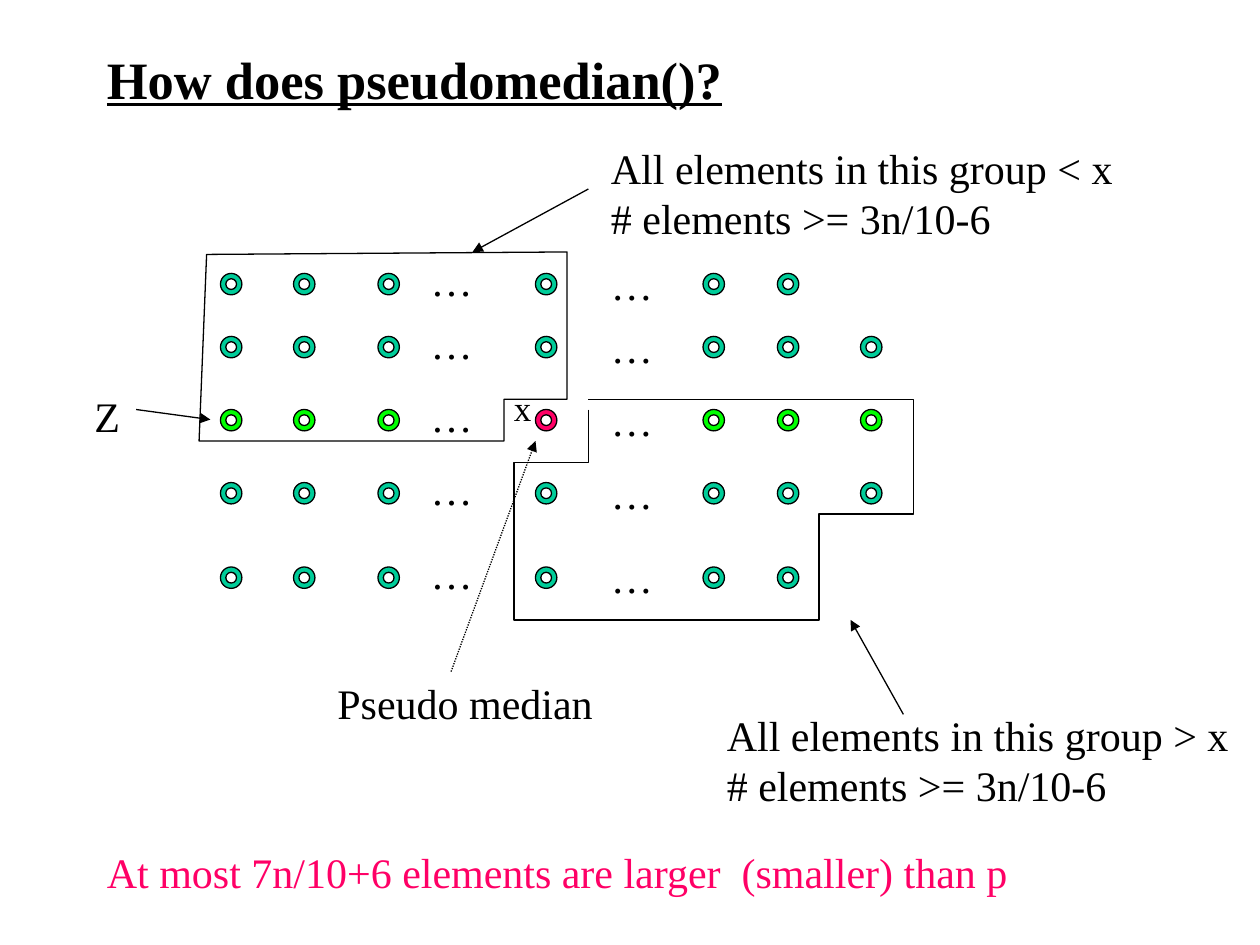
from pptx import Presentation
from pptx.dml.color import RGBColor
from pptx.enum.dml import MSO_LINE
from pptx.enum.shapes import MSO_CONNECTOR, MSO_SHAPE
from pptx.enum.text import MSO_ANCHOR, MSO_AUTO_SIZE
from pptx.oxml.ns import qn
from pptx.util import Inches, Pt
from lxml.etree import SubElement

COLORS = {name: RGBColor.from_string(value) for name, value in {
    "black": "000000", "teal": "00CC99", "green": "00FF00", "pink": "FF0066",
}.items()}

deck = Presentation()
deck.slide_width, deck.slide_height = Inches(10), Inches(7.5)
page = deck.slides.add_slide(deck.slide_layouts[6])


def add_label(text, left, top, width, height=0.5, size=24, color="black"):
    box = page.shapes.add_textbox(Inches(left), Inches(top), Inches(width), Inches(height))
    frame = box.text_frame
    frame.text = text
    frame.word_wrap = False
    frame.auto_size = MSO_AUTO_SIZE.SHAPE_TO_FIT_TEXT
    for para in frame.paragraphs:
        for span in para.runs:
            span.font.name = "Times New Roman"
            span.font.size = Pt(size)
            span.font.color.rgb = COLORS[color]
    return box


def outline(shape):
    shape.line.color.rgb = COLORS["black"]
    shape.line.width = Pt(0.75)


title = add_label("How does pseudomedian()?", 0.75, 0.33, 6.75, 0.58, size=30)
title.text_frame.auto_size = MSO_AUTO_SIZE.NONE
title.text_frame.word_wrap = True
title.text_frame.vertical_anchor = MSO_ANCHOR.MIDDLE
title_font = title.text_frame.paragraphs[0].runs[0].font
title_font.bold = title_font.underline = True

# Sorted groups: one ring per element, the middle row holds the medians
columns = [1.75, 2.33, 3, 4.25, 5.58, 6.17, 6.83]
rows = [2.17, 2.67, 3.25, 3.83, 4.5]
median_row, median_column = 2, 3
short_rows = (0, 4)
for row, top in enumerate(rows):
    for column, left in enumerate(columns[:-1] if row in short_rows else columns):
        ring = page.shapes.add_shape(
            MSO_SHAPE.DONUT, Inches(left), Inches(top), Inches(0.17), Inches(0.17))
        ring.adjustments[0] = 0.25
        ring.shadow.inherit = False
        if row != median_row:
            color = "teal"
        else:
            color = "pink" if column == median_column else "green"
        ring.fill.solid()
        ring.fill.fore_color.rgb = COLORS[color]
        outline(ring)
    add_label("…", 3.32, top - 0.2, 0.53)
    add_label("…", 4.75, top - 0.17, 0.53)

# Regions known to be smaller and larger than x
smaller_region = [(1.64, 2.02), (4.5, 2), (4.5, 3.17), (4, 3.17), (4, 3.5), (1.58, 3.5)]
larger_region = [(4.67, 3.25), (4.67, 3.67), (4.08, 3.67), (4.08, 4.92), (6.5, 4.92),
                 (6.5, 4.08), (7.25, 4.08), (7.25, 3.17), (4.67, 3.17)]
for points, closed in ((smaller_region, True), (larger_region, False)):
    corners = [(Inches(x), Inches(y)) for x, y in points]
    builder = page.shapes.build_freeform(*corners[0])
    builder.add_line_segments(corners[1:], close=closed)
    region = builder.convert_to_shape()
    region.shadow.inherit = False
    region.fill.background()
    outline(region)

add_label("Z", 0.65, 3.05, 0.4)
add_label("x", 3.98, 3.02, 0.34, 0.44, size=20)
add_label("Pseudo median", 2.58, 5.33, 2.23)
for sign, left, top in (("<", 4.75, 1.08), (">", 5.67, 5.58)):
    add_label(f"All elements in this group {sign} x\n# elements >= 3n/10-6",
              left, top, 4.22, 0.9)
add_label("At most 7n/10+6 elements are larger  (smaller) than p",
          0.75, 6.67, 7.36, color="pink")

# Arrows from each label to what it names
arrows = [
    (1.08, 3.25, 1.67, 3.33, None),
    (3.58, 5.33, 4.25, 3.5, MSO_LINE.ROUND_DOT),
    (4.67, 1.5, 3.75, 2, None),
    (7.17, 5.67, 6.75, 4.92, None),
]
for *ends, dash in arrows:
    arrow = page.shapes.add_connector(MSO_CONNECTOR.STRAIGHT, *map(Inches, ends))
    outline(arrow)
    if dash:
        arrow.line.dash_style = dash
    line = arrow._element.spPr.find(qn("a:ln"))
    SubElement(line, qn("a:tailEnd"), type="triangle")
    SubElement(arrow._element.spPr, qn("a:effectLst"))

deck.save("out.pptx")
